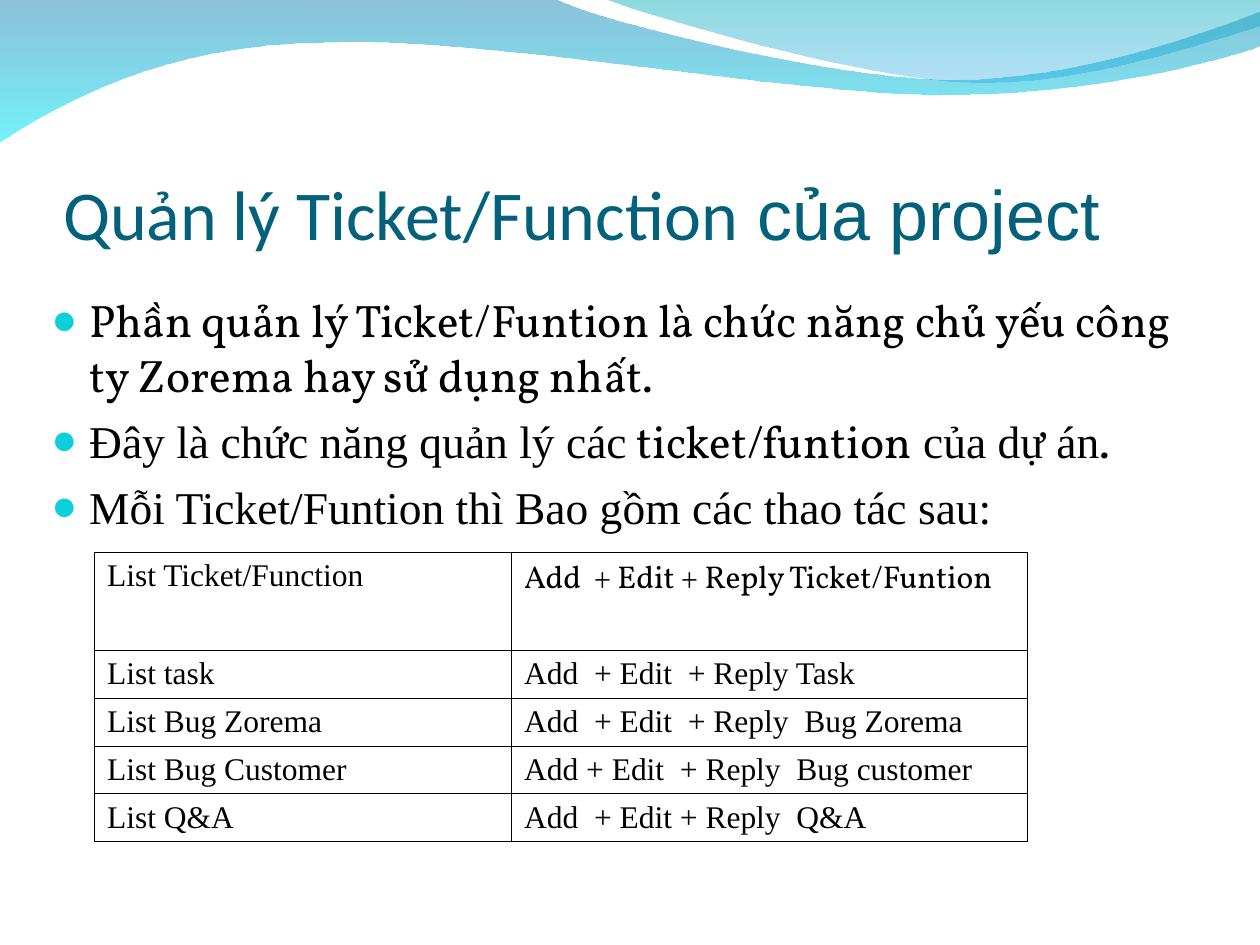
from dataclasses import dataclass

from lxml import etree
from pptx import Presentation
from pptx.dml.color import RGBColor
from pptx.enum.text import MSO_ANCHOR, MSO_AUTO_SIZE, PP_ALIGN
from pptx.oxml.ns import qn
from pptx.util import Emu, Inches, Pt

BOTTOM, NO_AUTOFIT, LEFT = MSO_ANCHOR.BOTTOM, MSO_AUTO_SIZE.NONE, PP_ALIGN.LEFT
TITLE_ONLY = 5


@dataclass(frozen=True)
class Theme:
    sans: str = "Calibri"
    sans_alt: str = "Arial"
    serif: str = "Times New Roman"
    display: str = "Vollkorn"
    title_color: str = "04617B"
    text_color: str = "000000"
    bullet_color: str = "0BD0D9"
    title_size: float = 40
    body_size: float = 26
    table_size: float = 18
    border_width: float = 0.45


THEME = Theme()

# Content: text runs are (text, font)
TITLE = [("Quản lý Ticket/Function", THEME.sans), (" của project", THEME.sans_alt)]
BULLETS = [
    [("Phần quản lý Ticket/Funtion là chức năng chủ yếu công ty Zorema hay sử dụng nhất.",
      THEME.display)],
    [("Đây là chức năng quản lý các", THEME.serif), (" ticket/funtion", THEME.display),
     (" của dự án", THEME.serif), (".", THEME.display)],
    [("Mỗi Ticket/Funtion thì Bao gồm các thao tác sau:", THEME.serif)],
]
ROWS = [
    ("List Ticket/Function", "Add  + Edit + Reply Ticket/Funtion"),
    ("List task", "Add  + Edit  + Reply Task"),
    ("List Bug Zorema", "Add  + Edit  + Reply  Bug Zorema"),
    ("List Bug Customer", "Add + Edit  + Reply  Bug customer"),
    ("List Q&A", "Add  + Edit + Reply  Q&A"),
]
COLUMN_WIDTHS = (3.31, 4.09)
HEADER_HEIGHT, ROW_HEIGHT = 0.78, 0.38

# Waves, in hundredths of an inch: a segment is an end point, or two control
# points and an end point. Stops run from top to bottom as (colour, opacity in percent).
WAVE_UNIT = Inches(0.01)
WAVES = [
    {"start": (0, -1),
     "segments": [
         [(440, -1)],
         [(476, 17), (664, 63), (758, 63)],
         [(853, 63), (958, 26), (1000, 9)],
         [(1001, 36)],
         [(983, 44), (870, 76), (746, 75)],
         [(622, 75), (382, 28), (257, 34)],
         [(129, 35), (46, 83), (-1, 113)]],
     "stops": [("0079AF", 45), ("00EBF8", 55)]},
    {"start": (479, -1),
     "segments": [
         [(509, 11), (682, 62), (769, 65)],
         [(856, 69), (961, 32), (1000, 21)],
         [(1000, 0)]],
     "stops": [("00ADB6", 45), ("009BE5", 30)]},
]


def bend_segments(shape, segments):
    """Join the three line points of each curved segment into one cubic curve."""
    lines = iter(list(shape.element.spPr.iter(qn("a:lnTo"))))
    for segment in segments:
        parts = [next(lines) for _ in segment]
        if len(parts) == 3:
            curve = etree.Element(qn("a:cubicBezTo"))
            parts[0].addprevious(curve)
            for part in parts:
                curve.append(part[0])
                part.getparent().remove(part)


def add_wave(slide, wave, layer):
    points = [point for segment in wave["segments"] for point in segment]
    builder = slide.shapes.build_freeform(*wave["start"], scale=WAVE_UNIT)
    builder.add_line_segments(points, close=True)
    shape = builder.convert_to_shape()
    bend_segments(shape, wave["segments"])
    shape.shadow.inherit = False
    shape.line.fill.background()
    shape.fill.gradient()
    shape.fill.gradient_angle = 270
    for stop, (color, _) in zip(shape.fill.gradient_stops, wave["stops"]):
        stop.color.rgb = RGBColor.from_string(color)
    for element, (_, opacity) in zip(shape.element.spPr.iter(qn("a:srgbClr")), wave["stops"]):
        etree.SubElement(element, qn("a:alpha"), val=str(opacity * 1000))
    slide.shapes.element.insert(2 + layer, shape.element)


def write_runs(paragraph, runs, size, color):
    paragraph.font.size = Pt(size)
    paragraph.font.color.rgb = RGBColor.from_string(color)
    if len(runs) == 1:
        paragraph.font.name = runs[0][1]
    for text, font_name in runs:
        run = paragraph.add_run()
        run.text = text
        if len(runs) > 1:
            run.font.name = font_name


def add_bullet(paragraph):
    properties = paragraph._p.get_or_add_pPr()
    properties.set("marL", str(Inches(0.3)))
    properties.set("indent", str(-Inches(0.3)))
    paragraph.space_before = Pt(6.5)
    bullet_color = etree.Element(qn("a:buClr"))
    etree.SubElement(bullet_color, qn("a:srgbClr"), val=THEME.bullet_color)
    bullet = [bullet_color,
              etree.Element(qn("a:buSzPct"), val="95000"),
              etree.Element(qn("a:buFont"), typeface=THEME.serif),
              etree.Element(qn("a:buChar"), char="●")]
    position = properties.index(properties.find(qn("a:spcBef"))) + 1
    properties[position:position] = bullet


def add_borders(cell):
    properties = cell._tc.get_or_add_tcPr()
    for side in ("lnL", "lnR", "lnT", "lnB"):
        line = etree.SubElement(properties, qn(f"a:{side}"), w=str(Pt(THEME.border_width)))
        fill = etree.SubElement(line, qn("a:solidFill"))
        etree.SubElement(fill, qn("a:srgbClr"), val=THEME.text_color)


def add_title(slide):
    title = slide.shapes.title
    title.left, title.top, title.width, title.height = map(Inches, (0.5, 0.77, 9, 1.25))
    frame = title.text_frame
    frame.auto_size, frame.vertical_anchor = NO_AUTOFIT, BOTTOM
    frame.margin_left = frame.margin_right = frame.margin_bottom = Emu(0)
    frame.margin_top = Inches(0.05)
    paragraph = frame.paragraphs[0]
    paragraph.alignment = LEFT
    write_runs(paragraph, TITLE, THEME.title_size, THEME.title_color)


def add_body(slide):
    frame = slide.shapes.add_textbox(*map(Inches, (0.31, 2.27, 9.34, 5.23))).text_frame
    frame.word_wrap = True
    for index, runs in enumerate(BULLETS):
        paragraph = frame.add_paragraph() if index else frame.paragraphs[0]
        write_runs(paragraph, runs, THEME.body_size, THEME.text_color)
        add_bullet(paragraph)


def add_function_table(slide):
    heights = [HEADER_HEIGHT] + [ROW_HEIGHT] * (len(ROWS) - 1)
    table = slide.shapes.add_table(
        len(ROWS), len(COLUMN_WIDTHS), Inches(0.75), Inches(4.38),
        Inches(sum(COLUMN_WIDTHS)), Inches(sum(heights))).table
    table.first_row = table.horz_banding = False
    for column, width in zip(table.columns, COLUMN_WIDTHS):
        column.width = Inches(width)
    for row_index, (row, height) in enumerate(zip(ROWS, heights)):
        table.rows[row_index].height = Inches(height)
        for column_index, text in enumerate(row):
            cell = table.cell(row_index, column_index)
            cell.margin_bottom = Inches(0.02)
            font_name = THEME.display if (row_index, column_index) == (0, 1) else THEME.serif
            write_runs(cell.text_frame.paragraphs[0], [(text, font_name)],
                       THEME.table_size, THEME.text_color)
            add_borders(cell)
            cell.fill.background()


def main():
    presentation = Presentation()
    presentation.slide_width, presentation.slide_height = Inches(10), Inches(7.5)
    slide = presentation.slides.add_slide(presentation.slide_layouts[TITLE_ONLY])
    for layer, wave in enumerate(WAVES):
        add_wave(slide, wave, layer)
    add_title(slide)
    add_body(slide)
    add_function_table(slide)
    presentation.save("out.pptx")


if __name__ == "__main__":
    main()
